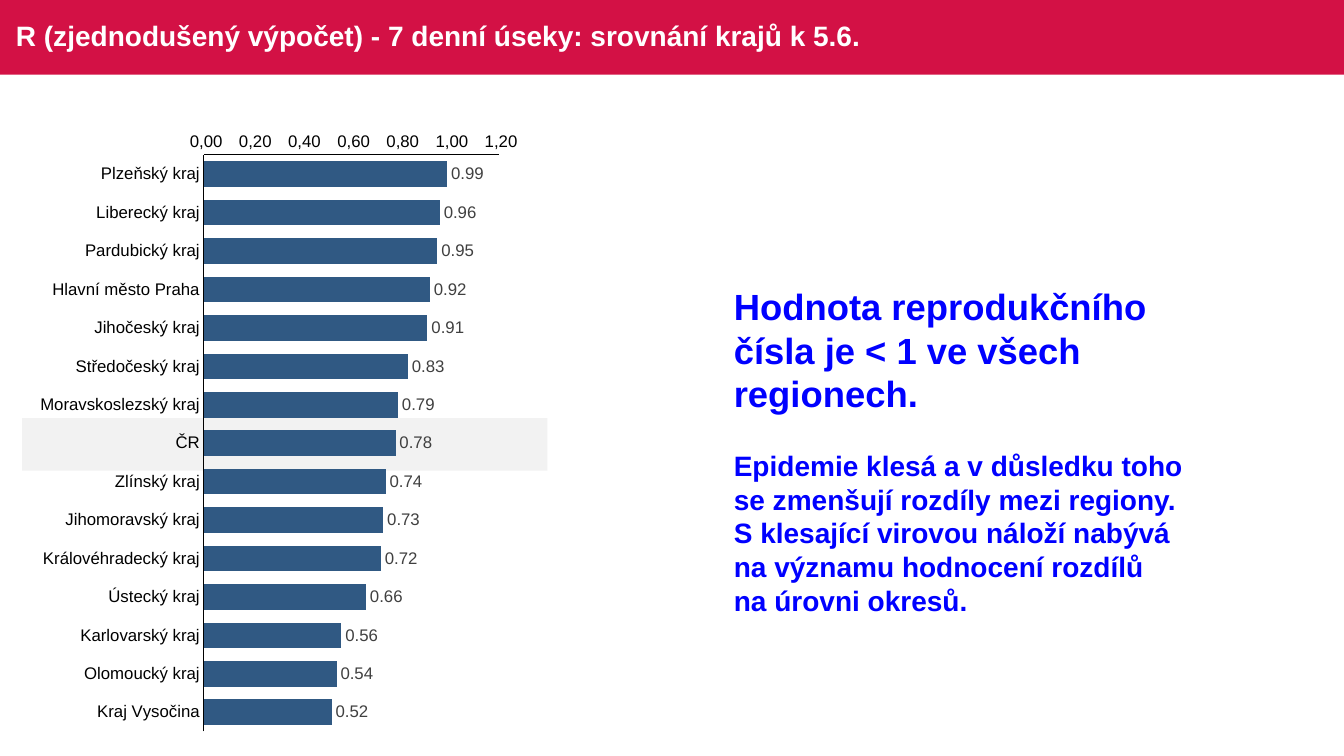
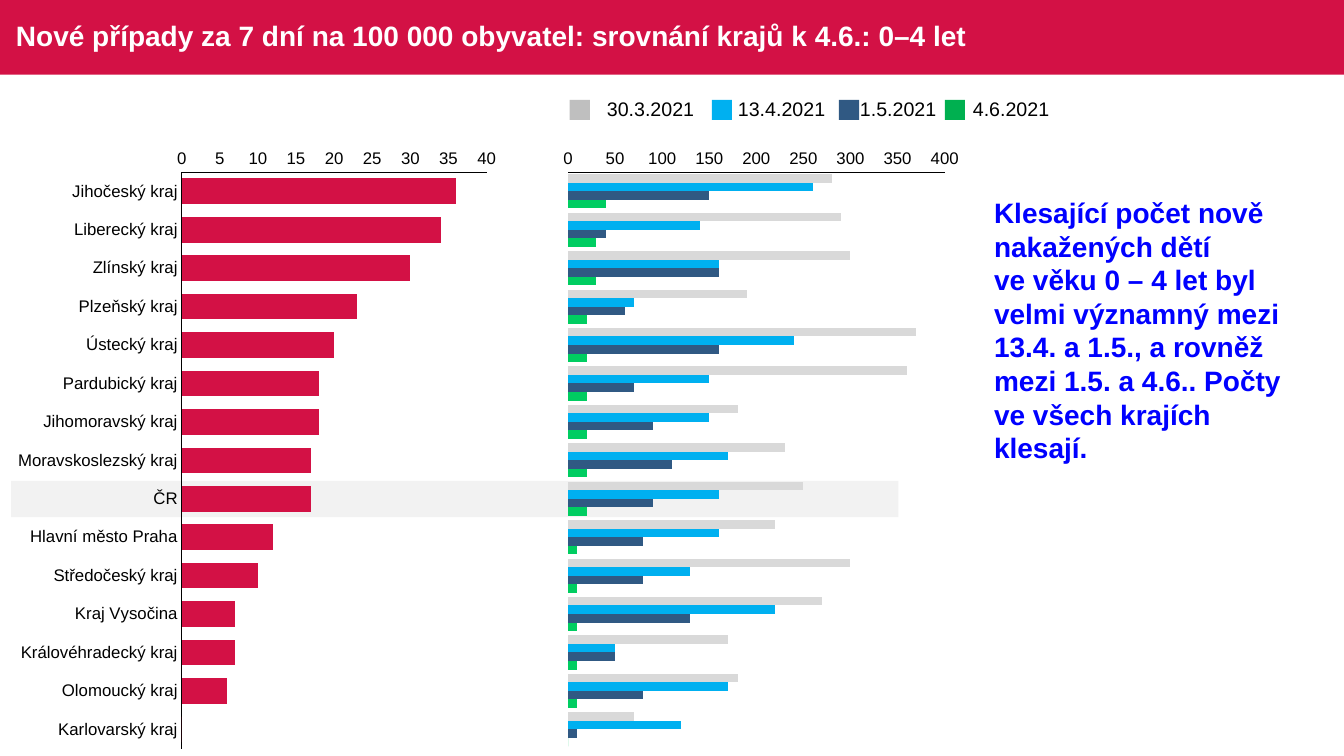
from collections import namedtuple

from lxml import etree
from pptx import Presentation
from pptx.chart.data import CategoryChartData
from pptx.dml.color import RGBColor
from pptx.enum.chart import XL_CHART_TYPE as ChartType
from pptx.enum.chart import XL_LABEL_POSITION as LabelPosition
from pptx.enum.chart import XL_TICK_MARK as TickMark
from pptx.enum.shapes import MSO_SHAPE as Preset
from pptx.enum.text import MSO_ANCHOR as Anchor
from pptx.oxml.ns import qn
from pptx.util import Inches, Pt

FONT = "Arial"
RED, NAVY, SKY = "D31145", "305983", "00B0F0"
BLACK, WHITE, BLUE = "000000", "FFFFFF", "0000FF"
HIGHLIGHT, LABEL_GREY = "F2F2F2", "404040"

# Boxes are in inches; their parts are given in percent of the parent box
Box = namedtuple("Box", "left top width height")
Plot = namedtuple("Plot", "x y w h")
SLIDE = Box(0, 0, 13.33, 7.5)


def within(box, left, top, width, height):
    return Box(box.left + box.width * left / 100, box.top + box.height * top / 100,
               box.width * width / 100, box.height * height / 100)


def color(hex_text):
    return RGBColor.from_string(hex_text)


def style_font(font, size, hex_text, bold=False):
    font.name, font.size, font.bold = FONT, Pt(size), bold
    font.color.rgb = color(hex_text)


def add_rectangle(slide, box, fill):
    shape = slide.shapes.add_shape(Preset.RECTANGLE, *map(Inches, box))
    shape.shadow.inherit = False
    shape.fill.solid()
    shape.fill.fore_color.rgb = color(fill)
    shape.line.fill.background()


def add_text(slide, box, lines, hex_text, bold=False, wrap=True, anchor=Anchor.TOP):
    """Each line is (text, size, space before)."""
    frame = slide.shapes.add_textbox(*map(Inches, box)).text_frame
    frame.word_wrap = wrap
    frame.vertical_anchor = anchor
    for index, (text, size, space) in enumerate(lines):
        paragraph = frame.paragraphs[0] if index == 0 else frame.add_paragraph()
        paragraph.text = text
        if space:
            paragraph.space_before = Pt(space)
        for run in paragraph.runs:
            style_font(run.font, size, hex_text, bold)


def add_titled_slide(presentation, title):
    slide = presentation.slides.add_slide(presentation.slide_layouts[6])
    add_rectangle(slide, within(SLIDE, 0, 0, 100, 9.87), RED)
    add_text(slide, within(SLIDE, 0.45, 0, 90.1, 9.4), [(title, 20, 0)],
             WHITE, bold=True, anchor=Anchor.MIDDLE)
    return slide


def place_plot(chart, plot):
    """Fix the inner plot area, in shares of the chart."""
    area = chart._chartSpace.find(".//" + qn("c:plotArea"))
    for old in area.findall(qn("c:layout")):
        area.remove(old)
    layout = etree.Element(qn("c:layout"))
    area.insert(0, layout)
    manual = etree.SubElement(layout, qn("c:manualLayout"))
    settings = [("layoutTarget", "inner"), ("xMode", "edge"), ("yMode", "edge")]
    for name, value in settings + list(plot._asdict().items()):
        etree.SubElement(manual, qn("c:" + name)).set("val", str(value))


def style_axis(axis):
    axis.has_major_gridlines = False
    axis.major_tick_mark = axis.minor_tick_mark = TickMark.NONE
    style_font(axis.tick_labels.font, 12, BLACK)
    axis.format.line.color.rgb = color(BLACK)
    axis.format.line.width = Pt(0.75)


def add_bars(slide, box, regions, series, plot, maximum, step,
             number_format="General", show_regions=True):
    """Each series is (values, fill)."""
    data = CategoryChartData()
    data.categories = regions
    for number, (values, _) in enumerate(series, 1):
        data.add_series(f"Series {number}", values)
    chart = slide.shapes.add_chart(
        ChartType.BAR_CLUSTERED, *map(Inches, box), data).chart
    chart.has_legend = chart.has_title = False
    style_font(chart.font, 10, BLACK)
    place_plot(chart, plot)

    style_axis(chart.category_axis)
    chart.category_axis.reverse_order = True
    chart.category_axis.visible = show_regions
    axis = chart.value_axis
    style_axis(axis)
    axis.minimum_scale, axis.maximum_scale, axis.major_unit = 0, maximum, step
    axis.tick_labels.number_format = number_format
    axis.tick_labels.number_format_is_linked = False

    bars = chart.plots[0]
    bars.gap_width, bars.overlap, bars.vary_by_categories = 50, 0, False
    for bar_series, (_, fill) in zip(bars.series, series):
        bar_series.format.fill.solid()
        bar_series.format.fill.fore_color.rgb = color(fill)
        bar_series.invert_if_negative = False
    return chart


def show_values(chart):
    labels = chart.plots[0].series[0].data_labels
    labels.show_value = True
    labels.position = LabelPosition.OUTSIDE_END
    labels.number_format, labels.number_format_is_linked = "#,##0.00", False
    style_font(labels.font, 12, LABEL_GREY)


def add_legend(slide, box):
    """Each entry is date, fill, swatch offset and label offset."""
    for date, fill, swatch, label in [
        ("30.3.2021", "BFBFBF", 0, 5.56),
        ("13.4.2021", SKY, 29, 32.3),
        ("1.5.2021", NAVY, 54.94, 57.2),
        ("4.6.2021", "00B050", 76.54, 80.25),
    ]:
        add_rectangle(slide, within(box, swatch, 23.5, 4.12, 58.8), fill)
        add_text(slide, within(box, label, 0, 26, 100), [(date, 14, 0)],
                 BLACK)


def build_reproduction_slide(presentation):
    slide = add_titled_slide(
        presentation, "R (zjednodušený výpočet) - 7 denní úseky: srovnání krajů k 5.6.")
    add_rectangle(slide, within(SLIDE, 1.65, 55.33, 39.08, 6.93), HIGHLIGHT)
    regions = ["Plzeňský kraj", "Liberecký kraj", "Pardubický kraj",
               "Hlavní město Praha", "Jihočeský kraj", "Středočeský kraj",
               "Moravskoslezský kraj", "ČR", "Zlínský kraj", "Jihomoravský kraj",
               "Královéhradecký kraj", "Ústecký kraj", "Karlovarský kraj",
               "Olomoucký kraj", "Kraj Vysočina"]
    values = [0.99, 0.96, 0.95, 0.92, 0.91, 0.83, 0.79, 0.78,
              0.74, 0.73, 0.72, 0.66, 0.56, 0.54, 0.52]
    chart = add_bars(slide, within(SLIDE, 2.15, 16.35, 37.2, 82.9), regions,
                     [(values, NAVY)], Plot(0.35, 0.05, 0.59, 0.92), 1.2, 0.2,
                     r"[$-10405]#\ ##0.00;\(#\ ##0.00\)")
    show_values(chart)
    add_text(slide, within(SLIDE, 53.86, 36.93, 34.96, 45.73), [
        ("Hodnota reprodukčního čísla je < 1 ve všech regionech.", 26, 0),
        ("Epidemie klesá a v důsledku toho se zmenšují rozdíly mezi regiony. "
         "S klesající virovou náloží nabývá na významu hodnocení rozdílů "
         "na úrovni okresů.", 20, 24),
    ], BLUE, bold=True)


def build_children_slide(presentation):
    slide = add_titled_slide(
        presentation,
        "Nové případy za 7 dní na 100 000 obyvatel: srovnání krajů k 4.6.: 0–4 let")
    add_rectangle(slide, within(SLIDE, 0.83, 63.6, 66.02, 4.8), HIGHLIGHT)
    regions = ["Jihočeský kraj", "Liberecký kraj", "Zlínský kraj", "Plzeňský kraj",
               "Ústecký kraj", "Pardubický kraj", "Jihomoravský kraj",
               "Moravskoslezský kraj", "ČR", "Hlavní město Praha",
               "Středočeský kraj", "Kraj Vysočina", "Královéhradecký kraj",
               "Olomoucký kraj", "Karlovarský kraj"]
    # Latest week
    latest = [36, 34, 30, 23, 20, 18, 18, 17, 17, 12, 10, 7, 7, 6, 0]
    add_bars(slide, within(SLIDE, 0.5, 18.62, 37.2, 82.9), regions,
             [(latest, RED)], Plot(0.35, 0.05, 0.61, 0.92), 40, 5)
    # Four dates side by side
    history = [
        ([280, 290, 300, 190, 370, 360, 180, 230, 250, 220, 300, 270, 170, 180, 70],
         "D9D9D9"),
        ([260, 140, 160, 70, 240, 150, 150, 170, 160, 160, 130, 220, 50, 170, 120],
         SKY),
        ([150, 40, 160, 60, 160, 70, 90, 110, 90, 80, 80, 130, 50, 80, 10], NAVY),
        ([40, 30, 30, 20, 20, 20, 20, 20, 20, 10, 10, 10, 10, 10, 0], "00CD61"),
    ]
    add_bars(slide, within(SLIDE, 41.34, 18.62, 30.8, 82.9), regions, history,
             Plot(0.03, 0.05, 0.91, 0.92), 400, 50, show_regions=False)
    add_legend(slide, within(SLIDE, 42.39, 12.13, 36.46, 4.53))
    add_text(slide, within(SLIDE, 73.22, 25.2, 25.06, 41.73), [
        ("Klesající počet nově nakažených dětí", 20, 0),
        ("ve věku 0 – 4 let byl velmi významný mezi 13.4. a 1.5., a rovněž "
         "mezi 1.5. a 4.6.. Počty ve všech krajích klesají.", 20, 0),
    ], BLUE, bold=True)


def main():
    presentation = Presentation()
    presentation.slide_width = Inches(SLIDE.width)
    presentation.slide_height = Inches(SLIDE.height)
    build_reproduction_slide(presentation)
    build_children_slide(presentation)
    presentation.save("out.pptx")


if __name__ == "__main__":
    main()
